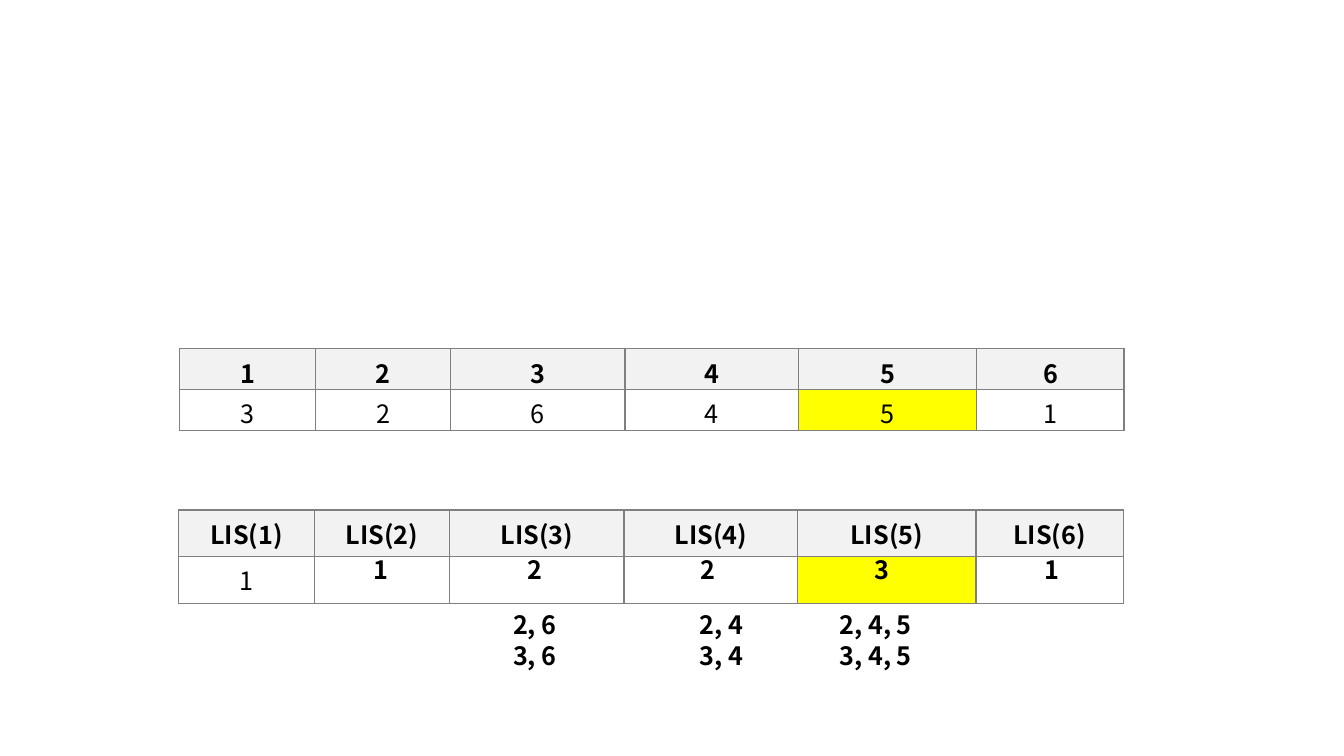
from pptx import Presentation
from pptx.util import Inches as In, Pt
from pptx.dml.color import RGBColor as RGB
from pptx.enum.text import PP_ALIGN as Al, MSO_AUTO_SIZE as Fit
from pptx.oxml import parse_xml
from pptx.oxml.ns import nsdecls

HUES = {"ink": "000000", "head": "F2F2F2", "cell": "FFFFFF",
        "mark": "FFFF00", "rule": "808080"}
FONT = "Noto Sans CJK KR"
COLS = [1.35, 1.34, 1.73, 1.72, 1.77, 1.46]
ROW = 0.405
MARK = 4  # column of the element being solved


def write(frame, text, size=18, bold=True, hue="ink"):
    for i, line in enumerate(text.split("\n")):
        para = frame.add_paragraph() if i else frame.paragraphs[0]
        para.alignment = Al.CENTER
        run = para.add_run()
        run.text = line
        font = run.font
        font.name, font.size, font.bold = FONT, Pt(size), bold
        font.color.rgb = RGB.from_string(HUES[hue])


def edge(cell):
    """Rule all four sides; borders must precede the fill in tcPr."""
    props = cell._tc.get_or_add_tcPr()
    for i, side in enumerate(("lnL", "lnR", "lnT", "lnB")):
        props.insert(i, parse_xml(
            f'<a:{side} {nsdecls("a")} w="12700"><a:solidFill>'
            f'<a:srgbClr val="{HUES["rule"]}"/></a:solidFill></a:{side}>'))


def grid(slide, left, top, heads, vals):
    table = slide.shapes.add_table(2, len(COLS), In(left), In(top),
                                   In(sum(COLS)), In(2 * ROW)).table
    for col, width in zip(table.columns, COLS):
        col.width = In(width)
    for r, row in enumerate((heads, vals)):
        table.rows[r].height = In(ROW)
        for c, text in enumerate(row):
            cell = table.cell(r, c)
            cell.margin_left = cell.margin_right = In(0.11)
            cell.margin_top = cell.margin_bottom = In(0.05)
            hue = "head" if r == 0 else "mark" if c == MARK else "cell"
            cell.fill.solid()
            cell.fill.fore_color.rgb = RGB.from_string(HUES[hue])
            edge(cell)
            if text:
                write(cell.text_frame, text, bold=r == 0)


def label(slide, left, top, width, height, text):
    box = slide.shapes.add_textbox(In(left), In(top), In(width), In(height))
    frame = box.text_frame
    frame.word_wrap = False
    frame.auto_size = Fit.SHAPE_TO_FIT_TEXT
    write(frame, text)


def array(slide, left, top):
    grid(slide, left, top, "123456", "326451")


def lengths(slide, left, top):
    """LIS table, its solved lengths and the sequences behind them."""
    heads = [f"LIS({n})" for n in range(1, 7)]
    grid(slide, left, top, heads, ["1"] + [""] * 5)
    for x, text in zip((1.83, 3.36, 5.08, 6.8, 8.49), "12231"):
        label(slide, left + x, top + 0.39, 0.35, 0.4, text)
    for x, width, text in ((3.21, 0.65, "2, 6\n3, 6"),
                           (5.06, 0.65, "2, 4\n3, 4"),
                           (6.44, 0.95, "2, 4, 5\n3, 4, 5")):
        label(slide, left + x, top + 0.94, width, 0.71, text)


def main():
    deck = Presentation()
    deck.slide_width, deck.slide_height = In(13.33), In(7.5)
    slide = deck.slides.add_slide(deck.slide_layouts[6])
    lengths(slide, 1.77, 5.06)
    array(slide, 1.78, 3.46)
    deck.save("out.pptx")


if __name__ == "__main__":
    main()
